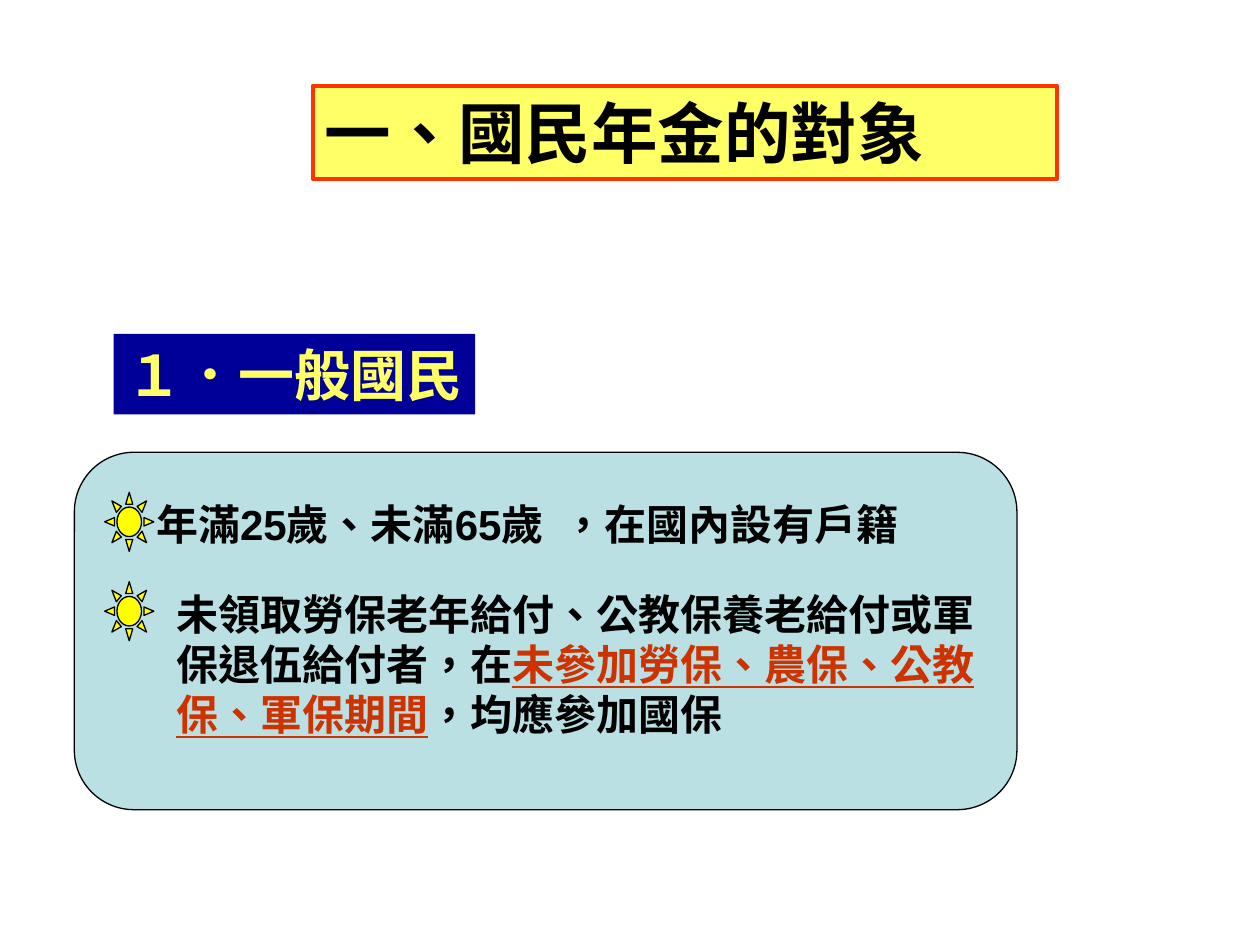
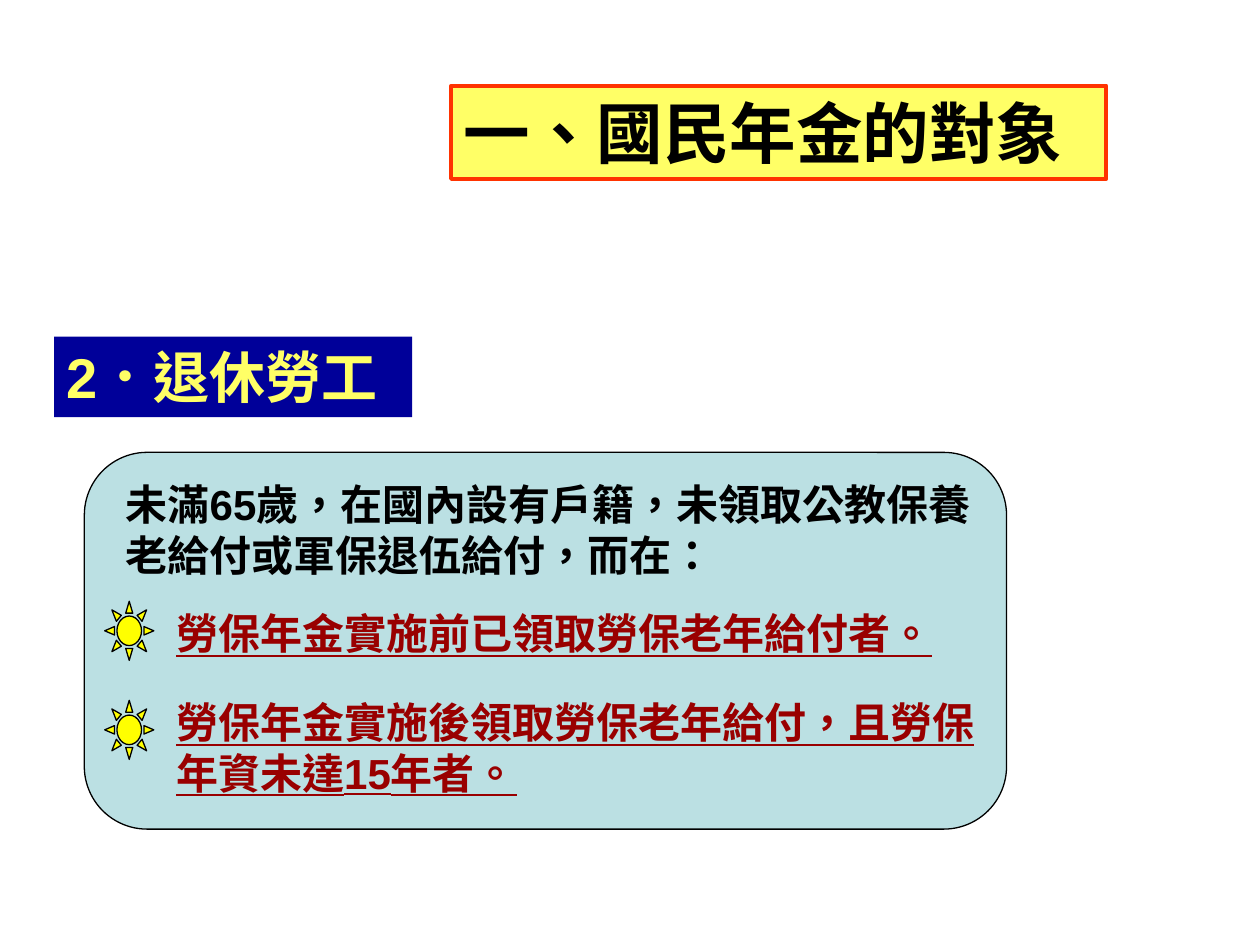
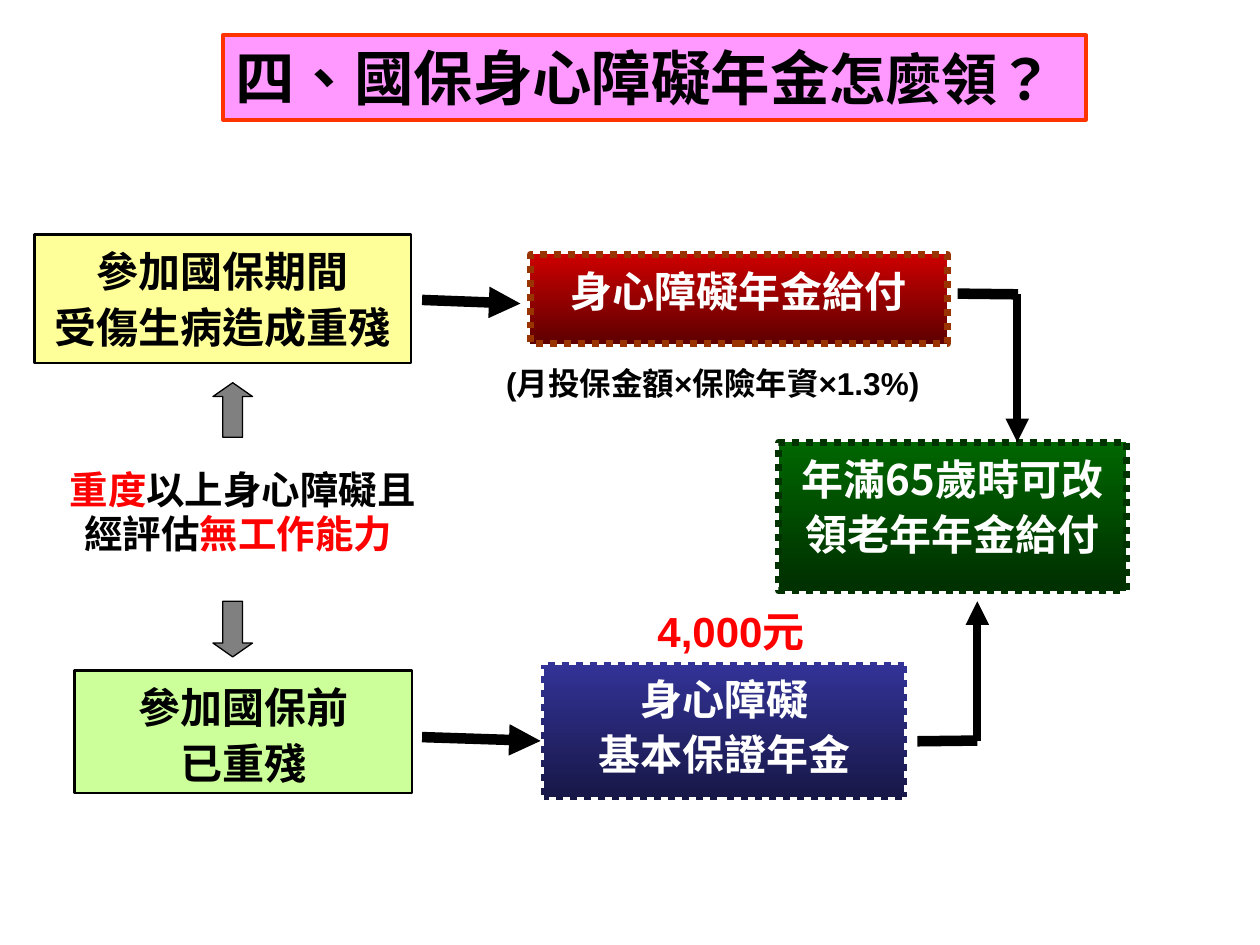
from dataclasses import dataclass
from typing import Optional

from lxml import etree
from pptx import Presentation
from pptx import util as u
from pptx.dml import color
from pptx.enum import dml, shapes, text
from pptx.oxml import ns

COLOURS = {
    "black": "000000", "white": "FFFFFF", "red": "FF0000", "rust": "CC3300",
    "maroon": "990000", "yellow": "FFFF66", "sun": "FFFF00", "navy": "000099",
    "panel": "BBE0E3", "border": "FF3300", "pink": "FF99FF", "cream": "FFFF99",
    "lime": "CCFF99", "grey": "808080", "brown": "993300", "forest": "003300",
    "red top": "CC0000", "red base": "5E0000",
    "blue top": "333399", "blue base": "171746",
    "green top": "006600", "green base": "002F00",
}
LATIN, CJK = "Arial", "Noto Sans CJK TC"
LINE_PITCH = 1.2  # line height as a multiple of the font size
KIND = shapes.MSO_SHAPE


@dataclass
class Span:
    words: str
    colour: str = "black"
    underline: bool = False
    size: Optional[float] = None


@dataclass
class Words:
    paras: list[list[Span]]
    size: float = 24
    font: str = LATIN
    spacing: float = 1.0
    centred: bool = False
    side: float = 7.2
    right: Optional[float] = None


@dataclass
class Box:
    left: float
    top: float
    width: float
    height: float
    kind: Optional[KIND] = KIND.RECTANGLE  # None makes a text box
    fill: tuple[str, ...] = ()             # two names make a gradient
    line: Optional[str] = None
    weight: float = 0.75
    dotted: bool = False
    words: Optional[Words] = None
    adjust: Optional[float] = None


@dataclass
class Stroke:
    start: tuple[float, float]
    end: tuple[float, float]
    weight: float = 6
    arrow: bool = True


def rgb(name: str) -> color.RGBColor:
    return color.RGBColor.from_string(COLOURS[name])


def write(frame, words: Words) -> None:
    frame.word_wrap = True
    frame.vertical_anchor = text.MSO_ANCHOR.TOP
    frame.margin_left = u.Pt(words.side)
    frame.margin_right = u.Pt(words.side if words.right is None else words.right)
    frame.margin_top = frame.margin_bottom = u.Pt(3.6)
    for index, spans in enumerate(words.paras):
        para = frame.add_paragraph() if index else frame.paragraphs[0]
        para.alignment = text.PP_ALIGN.CENTER if words.centred else text.PP_ALIGN.LEFT
        para.line_spacing = u.Pt(round(words.size * LINE_PITCH * words.spacing, 1))
        for span in spans:
            run = para.add_run()
            run.text = span.words
            font = run.font
            font.name, font.bold = words.font, True
            font.size = u.Pt(span.size or words.size)
            font.underline = span.underline
            font.color.rgb = rgb(span.colour)
            font.language_id = None
            properties = run._r.get_or_add_rPr()
            properties.set("lang", "zh-TW")
            latin = properties.find(ns.qn("a:latin"))
            east = etree.Element(ns.qn("a:ea"), typeface=CJK)
            latin.addnext(east)


def draw_box(page, box: Box) -> None:
    place = [u.Pt(n) for n in (box.left, box.top, box.width, box.height)]
    if box.kind is None:
        shape = page.shapes.add_textbox(*place)
    else:
        shape = page.shapes.add_shape(box.kind, *place)
        shape.shadow.inherit = False
        if box.adjust is not None:
            shape.adjustments[len(shape.adjustments) - 1] = box.adjust
        if len(box.fill) == 2:
            shape.fill.gradient()
            shape.fill.gradient_angle = 270
            for stop, name, position in zip(shape.fill.gradient_stops, box.fill, (0, 1)):
                stop.color.rgb = rgb(name)
                stop.position = position
        else:
            shape.fill.solid()
            shape.fill.fore_color.rgb = rgb(box.fill[0])
        if box.line:
            shape.line.color.rgb = rgb(box.line)
            shape.line.width = u.Pt(box.weight)
            if box.dotted:
                shape.line.dash_style = dml.MSO_LINE.ROUND_DOT
        else:
            shape.line.fill.background()
    if box.words:
        write(shape.text_frame, box.words)


def draw_stroke(page, stroke: Stroke) -> None:
    ends = [u.Pt(n) for n in (*stroke.start, *stroke.end)]
    line = page.shapes.add_connector(shapes.MSO_CONNECTOR.STRAIGHT, *ends)
    line.line.color.rgb = rgb("black")
    line.line.width = u.Pt(stroke.weight)
    if stroke.arrow:
        etree.SubElement(line.line._get_or_add_ln(), ns.qn("a:tailEnd"), type="triangle")
    etree.SubElement(line._element.spPr, ns.qn("a:effectLst"))


# Parts the slides share
def title(left: float, top: float, width: float, height: float, fill: str,
          spans: list[Span], size: float) -> Box:
    return Box(left, top, width, height, fill=(fill,), line="border", weight=2.25,
               words=Words([spans], size))


def subject_title(left: float, width: float) -> Box:
    return title(left, 49, width, 53.3, "yellow", [Span("一、國民年金的對象")], 38)


def tag(left: float, top: float, width: float, words: str) -> Box:
    return Box(left, top, width, 46, fill=("navy",),
               words=Words([[Span(words, "yellow")]], 32, right=0))


def panel(left: float, width: float, height: float) -> Box:
    return Box(left, 258.5, width, height, KIND.ROUNDED_RECTANGLE, ("panel",), "black")


def sun(top: float) -> Box:
    return Box(59.8, top, 28.1, 33.8, KIND.SUN, ("sun",), "black")


def note(left: float, top: float, width: float, height: float, *spans: Span,
         right: Optional[float] = None, **style) -> Box:
    return Box(left, top, width, height, None,
               words=Words([list(spans)], right=right, **style))


def step(left: float, top: float, width: float, height: float, fill: tuple[str, ...],
         line: str, lines: list[str], side: float = 7.2) -> Box:
    dark = len(fill) == 2
    paras = [[Span(words, "white" if dark else "black")] for words in lines]
    return Box(left, top, width, height, fill=fill, line=line,
               weight=4 if dark else 1.5, dotted=dark,
               words=Words(paras, font=CJK, spacing=1.1, centred=True, side=side))


# Slide contents
CITIZENS = [
    subject_title(178.6, 425.5),
    tag(65, 190.8, 206.5, "１．一般國民"),
    panel(42.5, 538.6, 204.2),
    sun(281.3),
    note(82.1, 281.3, 258.5, 36, Span("年滿25歲、未滿65歲"), right=0),
    sun(332.4),
    note(314.6, 281.3, 206, 36, Span("，在國內設有戶籍"), right=0),
    note(93.6, 332.6, 476.6, 93.6,
         Span("未領取勞保老年給付、公教保養老給付或軍保退伍給付者，在"),
         Span("未參加勞保、農保、公教保、軍保期間", "rust", True),
         Span("，均應參加國保")),
]

RETIRED_WORKERS = [
    subject_title(257.8, 374.4),
    tag(31, 192.4, 204.5, "2．退休勞工"),
    panel(48.2, 527, 215.3),
    sun(343.6),
    note(64.8, 270, 499, 64.8,
         Span("未滿65歲，在國內設有戶籍，未領取公教保養老給付或軍保退伍給付，而在：")),
    note(93.6, 343.6, 446.4, 36,
         Span("勞保年金實施前已領取勞保老年給付者。", "maroon", True), right=0),
    sun(400.2),
    note(93.6, 394.6, 481.7, 93.6,
         Span("勞保年金實施後領取勞保老年給付，且勞保年資未達15年者。", "maroon", True)),
]

DISABILITY_PENSION = [
    title(127.4, 20.2, 493.2, 48.2, "pink",
          [Span("四、國保身心障礙年金"), Span("怎麼領？", size=32)], 34),
    step(19.6, 133.9, 215.3, 73.6, ("cream",), "black", ["參加國保期間", "受傷生病造成重殘"]),
    step(303.1, 145.4, 238.3, 51.1, ("red top", "red base"), "brown", ["身心障礙年金給付"]),
    step(42.5, 383.2, 193, 70, ("lime",), "black", ["參加國保前", "已重殘"]),
    note(31, 264.2, 215.3, 57.6, Span("重度", "red"), Span("以上身心障礙且經評估"),
         Span("無工作能力 ", "red"), size=22, font=CJK, spacing=0.95, centred=True),
    Box(121.7, 218.7, 22.6, 31.2, KIND.UP_ARROW, ("grey",), "black", adjust=0.35),
    Box(121.7, 343.6, 22.6, 31.8, KIND.DOWN_ARROW, ("grey",), "black", adjust=0.35),
    step(309.1, 378.2, 209.5, 79.2, ("blue top", "blue base"), "white",
         ["身心障礙", "基本保證年金"]),
    step(445, 252.7, 198.7, 85, ("green top", "green base"), "forest",
         ["年滿65歲時可改領老年年金給付"], side=5),
    note(282.2, 202.3, 267.8, 31, Span("(月投保金額×保險年資×1.3%)"),
         size=18, spacing=1.1, right=0),
    note(368.6, 339.8, 104.4, 38.9, Span("4,000元", "red"), spacing=1.1, right=0),
    Stroke((241.2, 171.4), (297.4, 173.5)),
    Stroke((241.2, 421.2), (308.9, 423.4)),
    Stroke((547.2, 167.8), (581.8, 168.2), arrow=False),
    Stroke((524.2, 423.6), (558.5, 423.2), arrow=False),
    Stroke((581.3, 167.8), (581.3, 252.7), 4.5),
    Stroke((558.5, 423.4), (558.5, 343.6), 4.5),
]


def main() -> None:
    deck = Presentation()
    deck.slide_width, deck.slide_height = u.Pt(720), u.Pt(540)
    for parts in (CITIZENS, RETIRED_WORKERS, DISABILITY_PENSION):
        page = deck.slides.add_slide(deck.slide_layouts[6])
        for part in parts:
            if isinstance(part, Stroke):
                draw_stroke(page, part)
            else:
                draw_box(page, part)
    deck.save("out.pptx")


if __name__ == "__main__":
    main()
